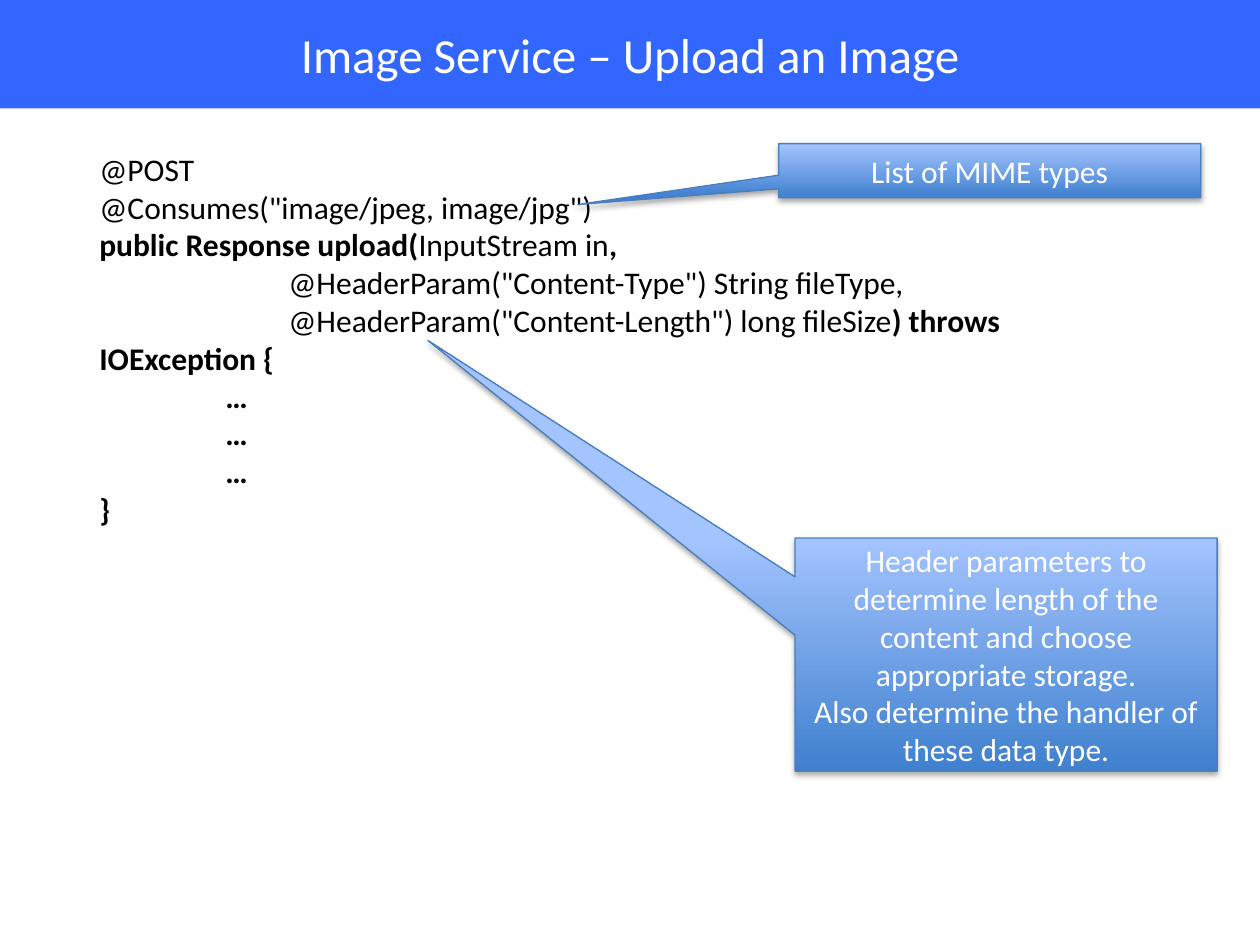
from lxml.etree import SubElement
from pptx import Presentation
from pptx.dml.color import RGBColor
from pptx.enum.shapes import MSO_SHAPE
from pptx.enum.text import MSO_ANCHOR, PP_ALIGN
from pptx.oxml.ns import qn
from pptx.util import Inches, Pt

WHITE = RGBColor(0xFF, 0xFF, 0xFF)
BLACK = RGBColor(0x00, 0x00, 0x00)
BANNER_BLUE = RGBColor(0x33, 0x66, 0xFF)
DEEP_BLUE = RGBColor(0x3F, 0x80, 0xCE)
PALE_BLUE = RGBColor(0xA4, 0xC4, 0xFF)
OUTLINE_BLUE = RGBColor(0x4B, 0x7E, 0xBC)

FONT = "Calibri"
TAB_WIDTH = Inches(0.5)

# Each line is a list of (text, bold) runs
CODE_LINES = [
    [("@POST", False)],
    [('@Consumes("image/jpeg, image/jpg")', False)],
    [("public Response upload(", True), ("InputStream in", False), (",", True)],
    [('\t\t\t@HeaderParam("Content-Type") String fileType,', False)],
    [('\t\t\t@HeaderParam("Content-Length") long fileSize', False),
     (") throws IOException {", True)],
    *[[("\t\t…", True)]] * 3,
    [("}", True)],
]

# Box in inches, pointer offset as shares of the box, text lines
CALLOUTS = [
    ((6.18, 1.14, 3.35, 0.43), (-0.976, 0.625), ["List of MIME types"]),
    ((6.31, 4.27, 3.35, 1.85), (-1.37, -1.348),
     ["Header parameters to determine length of the content and choose "
      "appropriate storage.",
      "Also determine the handler of these data type."]),
]


def write_text(frame, lines, size=18, color=WHITE, align=PP_ALIGN.CENTER,
               anchor=MSO_ANCHOR.MIDDLE):
    """Fill a text frame; a line is a string or a list of (text, bold) runs."""
    frame.word_wrap = True
    frame.vertical_anchor = anchor
    for index, line in enumerate(lines):
        paragraph = frame.add_paragraph() if index else frame.paragraphs[0]
        paragraph.alignment = align
        paragraph._p.get_or_add_pPr().set("defTabSz", str(TAB_WIDTH))
        for text, bold in [(line, False)] if isinstance(line, str) else line:
            run = paragraph.add_run()
            run.text = text
            run.font.name = FONT
            run.font.size = Pt(size)
            run.font.bold = bold
            run.font.color.rgb = color


def place(shape, box):
    shape.left, shape.top, shape.width, shape.height = map(Inches, box)


def add_soft_shadow(shape):
    shape.shadow.inherit = False
    effects = shape._element.spPr.find(qn("a:effectLst"))
    shadow = SubElement(effects, qn("a:outerShdw"), blurRad=str(Pt(3.1)),
                        dist=str(Pt(1.8)), dir="5400000", rotWithShape="0")
    color = SubElement(shadow, qn("a:srgbClr"), val=str(BLACK))
    SubElement(color, qn("a:alpha"), val="35000")


def add_banner(slide, box):
    title = slide.shapes.title
    place(title, box)
    title.fill.solid()
    title.fill.fore_color.rgb = BANNER_BLUE
    write_text(title.text_frame, ["Image Service – Upload an Image"], size=28)


def add_code(slide, box):
    code = slide.shapes.add_textbox(*map(Inches, box))
    write_text(code.text_frame, CODE_LINES, color=BLACK,
               align=PP_ALIGN.LEFT, anchor=MSO_ANCHOR.TOP)


def add_callout(slide, box, pointer, lines):
    callout = slide.shapes.add_shape(MSO_SHAPE.RECTANGULAR_CALLOUT,
                                     *map(Inches, box))
    callout.adjustments[0], callout.adjustments[1] = pointer
    # Gradient runs from deep blue at the bottom to pale blue at the top
    callout.fill.gradient()
    callout.fill.gradient_angle = 90
    for stop, color, position in zip(callout.fill.gradient_stops,
                                     (DEEP_BLUE, PALE_BLUE), (0, 1)):
        stop.color.rgb = color
        stop.position = position
    callout.line.color.rgb = OUTLINE_BLUE
    callout.line.width = Pt(0.75)
    add_soft_shadow(callout)
    write_text(callout.text_frame, lines)


def main():
    presentation = Presentation()
    presentation.slide_width = Inches(10)
    presentation.slide_height = Inches(7.5)
    slide = presentation.slides.add_slide(presentation.slide_layouts[5])

    add_banner(slide, (0, 0, 10, 0.86))
    add_code(slide, (0.69, 1.14, 7.69, 3.13))
    for box, pointer, lines in CALLOUTS:
        add_callout(slide, box, pointer, lines)

    presentation.save("out.pptx")


if __name__ == "__main__":
    main()
